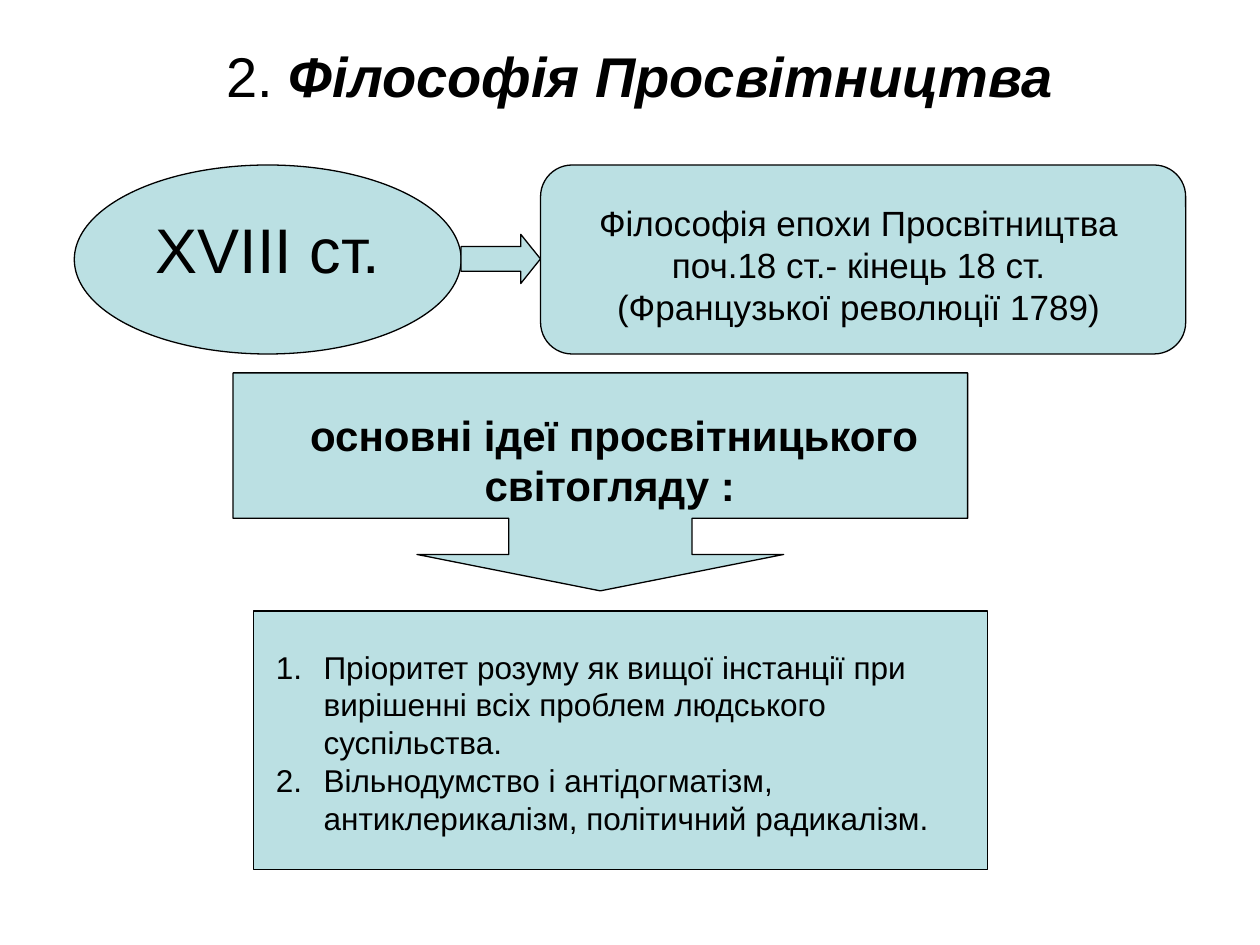
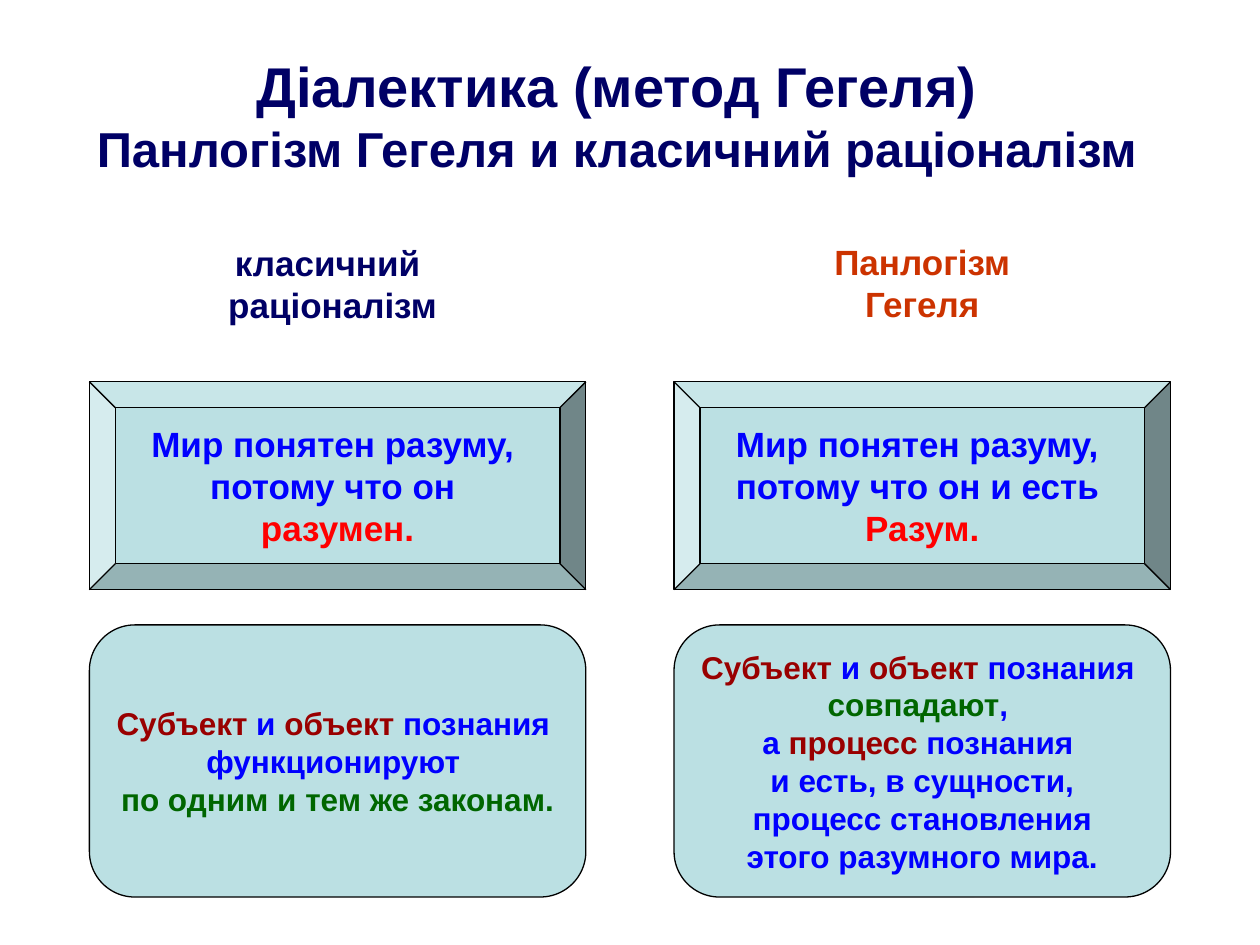
from dataclasses import dataclass

from lxml.etree import SubElement
from pptx import Presentation
from pptx.dml.color import RGBColor
from pptx.enum.shapes import MSO_SHAPE
from pptx.enum.text import MSO_ANCHOR, MSO_AUTO_SIZE, PP_ALIGN
from pptx.oxml.ns import qn
from pptx.util import Emu, Pt

PX = 9144  # one px is 1/100 inch


@dataclass(frozen=True)
class Theme:
    font: str = "Arial"
    panel: str = "BBE0E3"
    black: str = "000000"
    white: str = "FFFFFF"
    navy: str = "000066"
    orange: str = "CC3300"
    blue: str = "0000FF"
    red: str = "FF0000"
    maroon: str = "990000"
    green: str = "006600"
    century: int = 36
    title: int = 32
    subtitle: int = 28
    heading: int = 24
    body: int = 20
    small: int = 18
    thin: float = 0.75
    thick: float = 3


T = Theme()


def add_box(s, kind, box, fill=T.panel, line=T.black, width=T.thin, adj=()):
    """Add a preset shape, or a text box when kind is None."""
    box = [Emu(v * PX) for v in box]
    if kind is None:
        return s.shapes.add_textbox(*box)
    sp = s.shapes.add_shape(kind, *box)
    sp.shadow.inherit = False
    if fill:
        sp.fill.solid()
        sp.fill.fore_color.rgb = RGBColor.from_string(fill)
    else:
        sp.fill.background()
    sp.line.color.rgb = RGBColor.from_string(line)
    sp.line.width = Pt(width)
    for i, value in enumerate(adj):
        sp.adjustments[i] = value
    return sp


def write(sp, paras, frame, para, font):
    """Fill a shape; each paragraph is a list of (text, font changes)."""
    tf = sp.text_frame
    for name, value in frame.items():
        setattr(tf, name, value)
    for i, runs in enumerate(paras):
        p = tf.add_paragraph() if i else tf.paragraphs[0]
        for name, value in para.items():
            setattr(p, name, value)
        for text, changes in runs:
            fmt = {"name": T.font, "color": T.black, **font, **changes}
            for j, part in enumerate(text.split("\n")):
                if j:
                    p.add_line_break()
                if not part:
                    continue
                r = p.add_run()
                r.text = part
                for name, value in fmt.items():
                    if name == "color":
                        r.font.color.rgb = RGBColor.from_string(value)
                    else:
                        setattr(r.font, name, value)
    return tf


CENTER = {"alignment": PP_ALIGN.CENTER}
GROW = {"word_wrap": True, "auto_size": MSO_AUTO_SIZE.SHAPE_TO_FIT_TEXT}
MIDDLE = {"word_wrap": False, "vertical_anchor": MSO_ANCHOR.MIDDLE}
BLUE, RED, MAROON, GREEN = ({"color": c} for c in (T.blue, T.red, T.maroon, T.green))

prs = Presentation()
prs.slide_width, prs.slide_height = Emu(1000 * PX), Emu(750 * PX)
blank = prs.slide_layouts[6]

# Slide 1: the Enlightenment, panels
s = prs.slides.add_slide(blank)
for kind, box, adj in (
    (MSO_SHAPE.OVAL, (59, 131, 307, 150), ()),
    (MSO_SHAPE.ROUNDED_RECTANGLE, (429, 131, 512, 150), (0.167,)),
    (MSO_SHAPE.RIGHT_ARROW, (366, 186, 63, 39), (0.5, 0.4)),
    (MSO_SHAPE.DOWN_ARROW_CALLOUT, (185, 296, 583, 173), (0.841, 0.841, 0.167, 0.667)),
    (MSO_SHAPE.RECTANGLE, (201, 485, 583, 205), ()),
):
    add_box(s, kind, box, adj=adj)

# Slide 1: title and labels
for box, size, before, runs in (
    ((67, 28, 882, 64), T.title, 20,
     [("2. ", {}), ("Філософія Просвітництва", {"bold": True, "italic": True})]),
    ((83, 162, 260, 70), T.century, 22.5, [("XVIII ст.", {})]),
    ((445, 155, 473, 110), T.body, 12.5,
     [("Філософія епохи Просвітництва поч.18 ст.- кінець 18 ст. "
       "(Французької революції 1789)", {})]),
    ((216, 320, 543, 90), T.heading, 11.2,
     [("основні ідеї просвітницького світогляду :", {"bold": True}),
      (" ", {"bold": True, "size": Pt(T.small)})]),
):
    write(add_box(s, None, box), [runs], GROW,
          {**CENTER, "space_before": Pt(before)}, {"size": Pt(size)})

# Slide 1: numbered ideas
ideas = (
    "Пріоритет розуму як вищої інстанції при вирішенні всіх проблем людського суспільства.",
    "Вільнодумство і антідогматізм, антиклерикалізм, політичний радикалізм.",
)
tf = write(add_box(s, None, (209, 509, 559, 160)), [[(idea, {})] for idea in ideas],
           GROW, {"alignment": PP_ALIGN.LEFT}, {"size": Pt(T.small)})
for p in tf.paragraphs:
    pPr = p._p.get_or_add_pPr()
    pPr.set("marL", str(38 * PX))
    pPr.set("indent", str(-38 * PX))
    SubElement(SubElement(pPr, qn("a:buClr")), qn("a:srgbClr"), val=T.black)
    SubElement(pPr, qn("a:buFont"), typeface=T.font)
    SubElement(pPr, qn("a:buAutoNum"), type="arabicPeriod")

# Slide 2: Hegel's dialectics, title
s = prs.slides.add_slide(blank)
write(add_box(s, None, (0, 28, 979, 125)),
      [[("Діалектика (метод Гегеля)\n", {}),
        ("Панлогізм Гегеля и класичний раціоналізм", {"size": Pt(T.subtitle)})]],
      {**MIDDLE, "word_wrap": True}, CENTER,
      {"size": Pt(T.title), "bold": True, "color": T.navy})

# Slide 2: column headings
for box, color, paras in (
    ((146, 178, 236, 94), T.navy, [[("класичний ", {})], [("раціоналізм", {})]]),
    ((614, 177, 236, 94), T.orange, [[("Панлогізм\nГегеля", {})]]),
):
    sp = add_box(s, MSO_SHAPE.RECTANGLE, box, fill=None, line=T.white, width=T.thick)
    write(sp, paras, MIDDLE, CENTER, {"size": Pt(T.body), "bold": True, "color": color})

# Slide 2: two columns, each with a thesis above its explanation
subject_object = [("Субъект", MAROON), (" и ", BLUE), ("объект", MAROON)]
columns = (
    ([("Мир понятен разуму, \nпотому что он \n", BLUE), ("разумен.", RED)],
     [(" познания \nфункционируют \n", BLUE), ("по одним и тем же законам.", GREEN)]),
    ([("Мир понятен разуму, \nпотому что он и есть \n", BLUE), ("Разум.", RED)],
     [(" познания \n", BLUE), ("совпадают", GREEN), (", \nа ", BLUE), ("процесс", MAROON),
      (" познания \nи есть, в сущности,\nпроцесс становления\nэтого разумного мира.", BLUE)]),
)
for i, (thesis, explanation) in enumerate(columns):
    left = 71 + 464 * i
    for kind, top, height, adj, size, runs in (
        (MSO_SHAPE.BEVEL, 303, 165, 0.125, T.body, thesis),
        (MSO_SHAPE.ROUNDED_RECTANGLE, 496, 216, 0.167, T.small, subject_object + explanation),
    ):
        sp = add_box(s, kind, (left, top, 394, height), adj=(adj,))
        write(sp, [runs], MIDDLE, CENTER, {"size": Pt(size), "bold": True})

prs.save("out.pptx")
